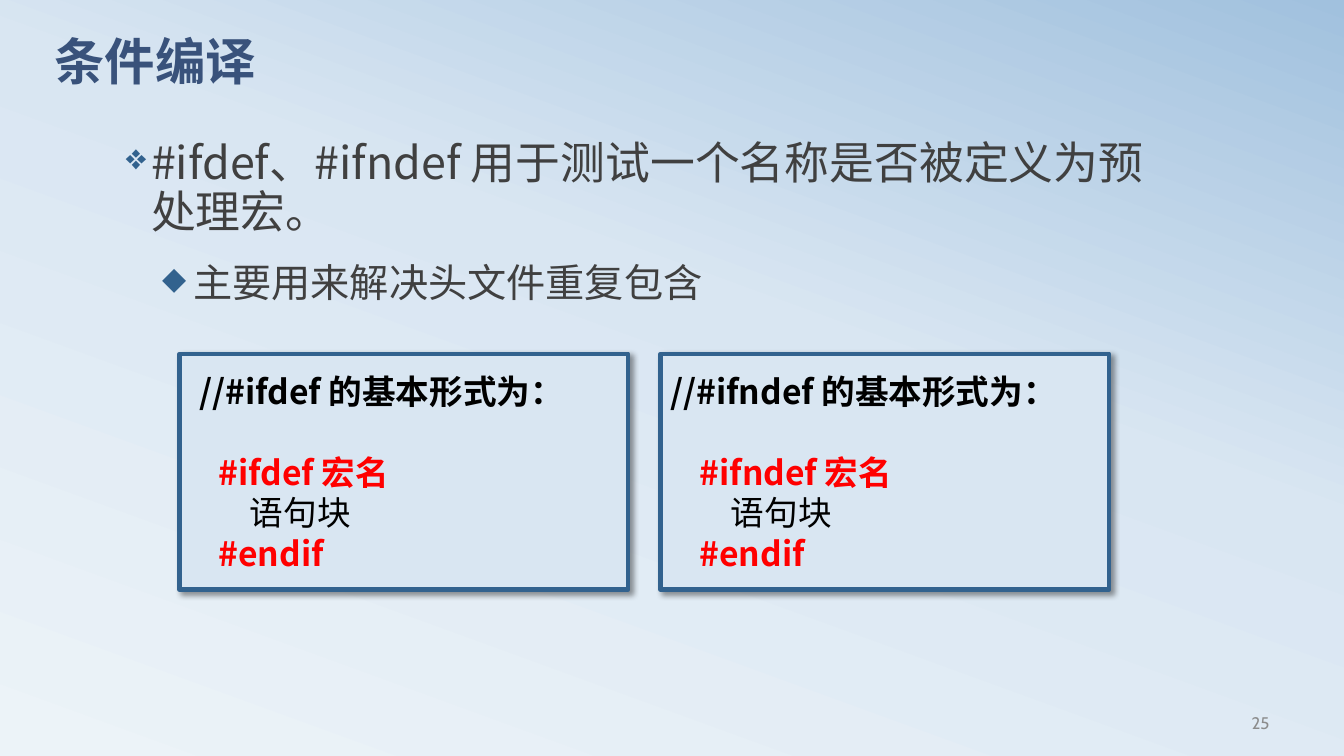
from dataclasses import dataclass

from lxml import etree
from pptx import Presentation
from pptx.dml.color import RGBColor
from pptx.enum.shapes import MSO_SHAPE
from pptx.enum.text import MSO_ANCHOR, MSO_AUTO_SIZE, PP_ALIGN
from pptx.oxml import parse_xml
from pptx.oxml.ns import qn
from pptx.util import Inches, Pt

RECTANGLE = MSO_SHAPE.RECTANGLE
TOP, MIDDLE = MSO_ANCHOR.TOP, MSO_ANCHOR.MIDDLE
LEFT, RIGHT = PP_ALIGN.LEFT, PP_ALIGN.RIGHT
NO_AUTOFIT = MSO_AUTO_SIZE.NONE
DRAWING = "http://schemas.openxmlformats.org/drawingml/2006/main"


@dataclass(frozen=True)
class Theme:
    """Colours, fonts, type sizes and line heights of the slide."""
    gradient: tuple = ((0, "ECF3F8"), (58, "D9E6F2"), (100, "A1C1DE"))
    title: str = "39527B"
    body: str = "404040"
    accent: str = "32628E"
    panel: str = "D9E6F2"
    code: str = "000000"
    keyword: str = "FF0000"
    number: str = "8C8C8C"
    latin: str = "Cabin"
    chinese: str = "Noto Sans CJK SC"
    title_size: int = 36
    point_size: int = 32
    subpoint_size: int = 28
    code_size: int = 24
    number_size: int = 12
    code_line: int = 29


THEME = Theme()


def write(paragraph, text, *, size, color, font=THEME.chinese, bold=False,
          align=LEFT, line=None, before=0, after=0, margin=0, indent=0):
    """Write one formatted run and set the spacing and indents of its paragraph."""
    paragraph.alignment = align
    paragraph.line_spacing = line
    paragraph.space_before, paragraph.space_after = Pt(before), Pt(after)
    properties = paragraph._p.get_or_add_pPr()
    properties.set("marL", str(Inches(margin)))
    properties.set("indent", str(Inches(indent)))
    run = paragraph.add_run()
    run.text = text
    run.font.size, run.font.bold, run.font.name = Pt(size), bold, font
    run.font.color.rgb = RGBColor.from_string(color)
    east_asian = etree.SubElement(run._r.get_or_add_rPr(), qn("a:ea"))
    east_asian.set("typeface", THEME.chinese)


def add_bullet(paragraph, character):
    """Give a paragraph an accent-coloured bullet at 80% of the text size."""
    properties = paragraph._p.get_or_add_pPr()
    color = etree.SubElement(properties, qn("a:buClr"))
    etree.SubElement(color, qn("a:srgbClr")).set("val", THEME.accent)
    etree.SubElement(properties, qn("a:buSzPct")).set("val", "80000")
    etree.SubElement(properties, qn("a:buChar")).set("char", character)


def add_text_frame(slide, box, anchor=TOP):
    """Add a wrapping text box and return its text frame."""
    frame = slide.shapes.add_textbox(*map(Inches, box)).text_frame
    frame.word_wrap = True
    frame.vertical_anchor = anchor
    return frame


def add_paragraphs(frame, count):
    """Return the first paragraph of a frame and as many new ones as needed."""
    return [frame.paragraphs[0]] + [frame.add_paragraph() for _ in range(count - 1)]


def paint_background(slide):
    """Fill the slide with the three-stop slanted gradient."""
    fill = slide.background.fill
    fill.gradient()
    fill.gradient_angle = 70
    stops = slide.element.xpath(".//a:gsLst")[0]
    for stop in list(stops):
        stops.remove(stop)
    for position, color in THEME.gradient:
        stop = etree.SubElement(stops, qn("a:gs"))
        stop.set("pos", str(position * 1000))
        etree.SubElement(stop, qn("a:srgbClr")).set("val", color)


def set_title(slide, box, text):
    """Place and format the title placeholder."""
    title = slide.shapes.title
    title.left, title.top, title.width, title.height = map(Inches, box)
    frame = title.text_frame
    frame.auto_size, frame.vertical_anchor = NO_AUTOFIT, TOP
    write(frame.paragraphs[0], text, size=THEME.title_size, color=THEME.title,
          font=THEME.latin, bold=True, line=0.8)


def add_points(slide, box, point, subpoint):
    """Add the main point and the point below it."""
    rows = (
        (point, "❖", THEME.point_size, 35, 0.25, -0.25),
        (subpoint, "◆", THEME.subpoint_size, 31, 0.67, -0.31),
    )
    paragraphs = add_paragraphs(add_text_frame(slide, box), len(rows))
    for paragraph, (text, bullet, size, line, margin, indent) in zip(paragraphs, rows):
        write(paragraph, text, size=size, color=THEME.body, line=Pt(line),
              before=12, after=6, margin=margin, indent=indent)
        add_bullet(paragraph, bullet)


def add_shadow(shape):
    """Give a shape a soft shadow to the lower right."""
    shape.shadow.inherit = False
    effects = shape.element.spPr.find(qn("a:effectLst"))
    effects.append(parse_xml(
        f'<a:outerShdw xmlns:a="{DRAWING}" blurRad="{Pt(4)}" dist="{Pt(3)}" '
        'dir="2700000" algn="tl" rotWithShape="0">'
        '<a:srgbClr val="000000"><a:alpha val="40000"/></a:srgbClr></a:outerShdw>'))


def add_code_panel(slide, box, directive, heading_margin):
    """Add a framed panel with the basic form of a directive."""
    panel = slide.shapes.add_shape(RECTANGLE, *map(Inches, box))
    panel.fill.solid()
    panel.fill.fore_color.rgb = RGBColor.from_string(THEME.panel)
    panel.line.color.rgb = RGBColor.from_string(THEME.accent)
    panel.line.width = Pt(3)
    add_shadow(panel)
    frame = panel.text_frame
    frame.word_wrap, frame.vertical_anchor = True, MIDDLE
    rows = (
        (f"//{directive} 的基本形式为：", THEME.code, True, heading_margin, 1),
        (f"{directive} 宏名", THEME.keyword, True, 0.29, 2),
        ("语句块", THEME.code, False, 0.6, 1),
        ("#endif", THEME.keyword, True, 0.29, 1),
    )
    paragraphs = add_paragraphs(frame, len(rows))
    for paragraph, (text, color, bold, margin, lines) in zip(paragraphs, rows):
        write(paragraph, text, size=THEME.code_size, color=color, bold=bold,
              margin=margin, line=Pt(THEME.code_line * lines))


def add_code_panels(slide, box):
    """Set the two directive panels side by side in the box."""
    left, top, width, height = box
    gap = 0.32
    panel_width = (width - gap) / 2
    for index, (directive, margin) in enumerate((("#ifdef", 0.1), ("#ifndef", 0))):
        panel_left = left + index * (panel_width + gap)
        add_code_panel(slide, (panel_left, top, panel_width, height), directive, margin)


def add_slide_number(slide, box, number):
    """Add the page number at the right of the box."""
    frame = add_text_frame(slide, box, MIDDLE)
    write(frame.paragraphs[0], number, size=THEME.number_size, color=THEME.number,
          font=THEME.latin, align=RIGHT)


def main():
    """Build the slide on conditional compilation and save it."""
    presentation = Presentation()
    presentation.slide_width, presentation.slide_height = Inches(13.33), Inches(7.5)
    slide = presentation.slides.add_slide(presentation.slide_layouts[5])
    paint_background(slide)
    set_title(slide, (0.44, 0.36, 12, 0.94), "条件编译")
    add_points(slide, (1.15, 1.33, 10.47, 1.63),
               "#ifdef、#ifndef 用于测试一个名称是否被定义为预处理宏。",
               "主要用来解决头文件重复包含")
    add_code_panels(slide, (1.78, 3.51, 9.22, 2.34))
    add_slide_number(slide, (9.58, 6.97, 3.11, 0.4), "25")
    presentation.save("out.pptx")


if __name__ == "__main__":
    main()
